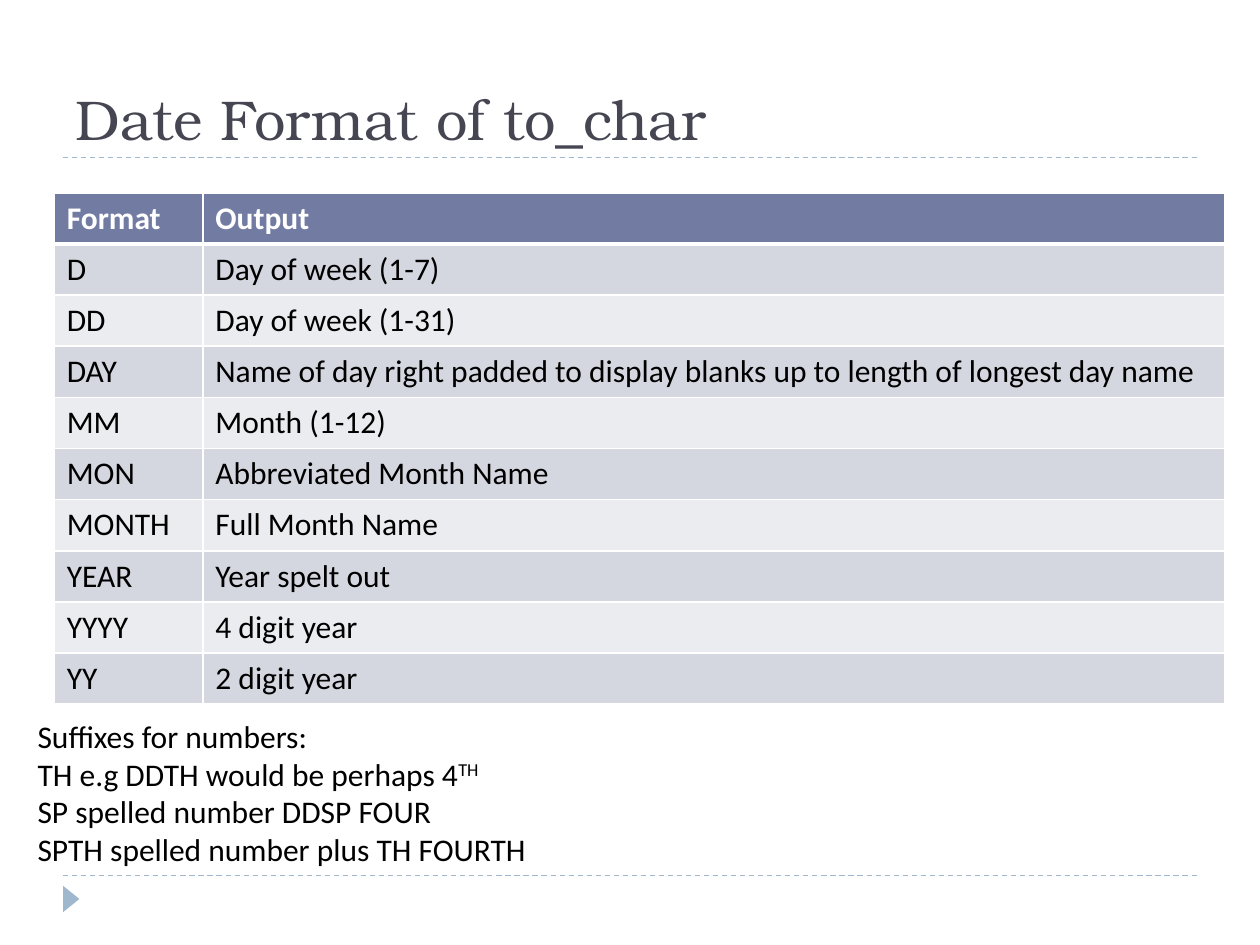
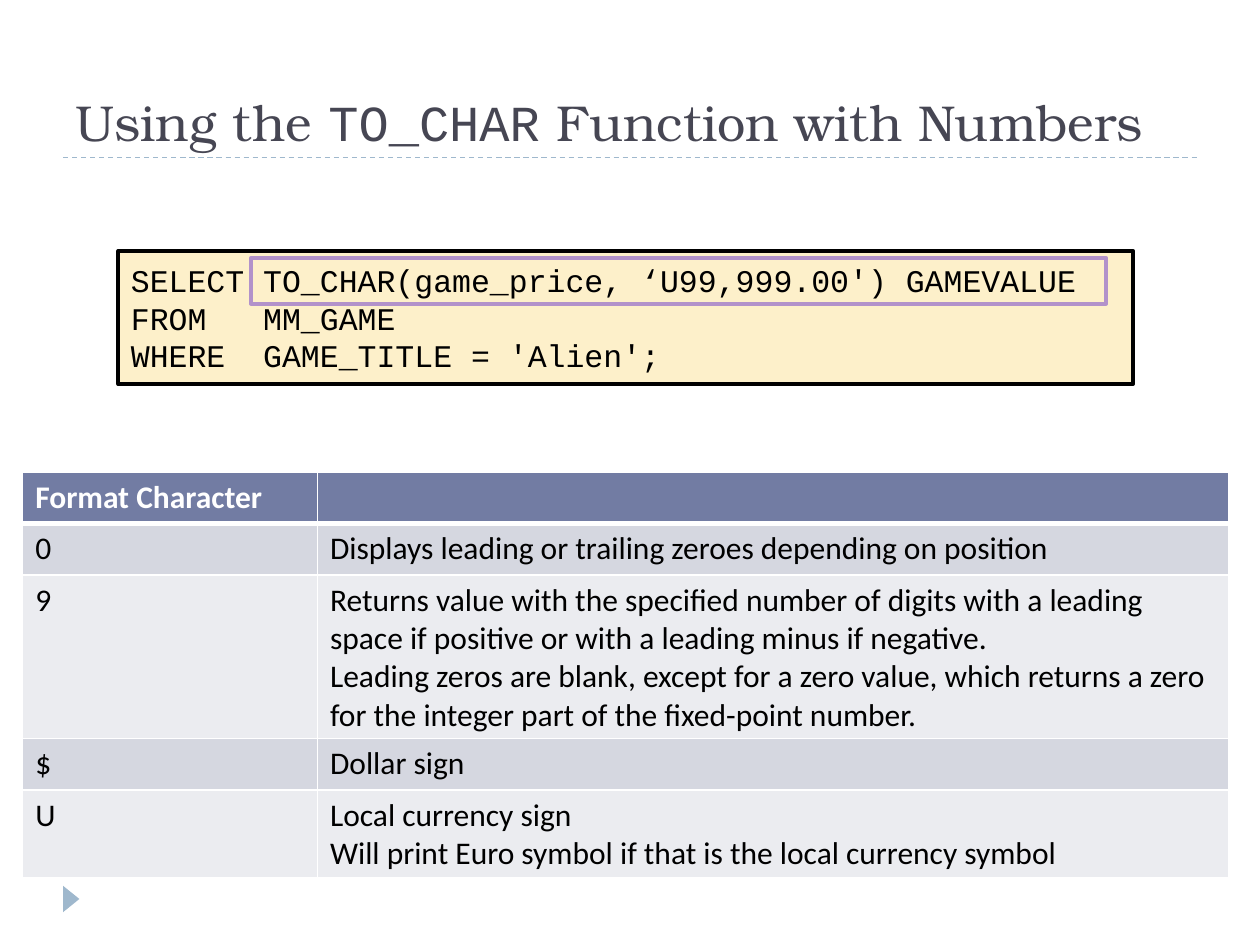
from pptx import Presentation
from pptx.dml.color import RGBColor
from pptx.enum.dml import MSO_LINE
from pptx.enum.shapes import MSO_CONNECTOR, MSO_SHAPE
from pptx.enum.text import MSO_ANCHOR, PP_ALIGN
from pptx.oxml.ns import qn
from pptx.util import Inches, Pt
from lxml import etree

STRAIGHT = MSO_CONNECTOR.STRAIGHT
DASH = MSO_LINE.DASH
RECTANGLE, TRIANGLE = MSO_SHAPE.RECTANGLE, MSO_SHAPE.ISOSCELES_TRIANGLE
MIDDLE, BOTTOM = MSO_ANCHOR.MIDDLE, MSO_ANCHOR.BOTTOM
LEFT = PP_ALIGN.LEFT

BLACK = RGBColor(0x00, 0x00, 0x00)
WHITE = RGBColor(0xFF, 0xFF, 0xFF)
TITLE_INK = RGBColor(0x46, 0x46, 0x53)
PALE_BLUE = RGBColor(0x9F, 0xB8, 0xCD)
HEADER_FILL = RGBColor(0x72, 0x7C, 0xA3)
BAND_FILLS = (RGBColor(0xEB, 0xEC, 0xF0), RGBColor(0xD5, 0xD7, 0xE0))
CODE_FILL = RGBColor(0xFD, 0xF0, 0xCA)
HIGHLIGHT = RGBColor(0xB2, 0x92, 0xCA)

BODY_FONT, TITLE_FONT, CODE_FONT = "Calibri", "TeX Gyre Bonum", "Courier New"
BODY_SIZE = 18

DATE_FORMATS = [
    ("Format", "Output"),
    ("D", "Day of week (1-7)"),
    ("DD", "Day of week (1-31)"),
    ("DAY", "Name of day right padded to display blanks up to length of longest day name"),
    ("MM", "Month (1-12)"),
    ("MON", "Abbreviated Month Name"),
    ("MONTH", "Full Month Name"),
    ("YEAR", "Year spelt out"),
    ("YYYY", "4 digit year"),
    ("YY", "2 digit year"),
]
SUFFIXES = [
    ["Suffixes for numbers:"],
    ["TH e.g DDTH would be perhaps 4", "TH"],
    ["SP spelled number DDSP FOUR"],
    ["SPTH spelled number plus TH FOURTH"],
]
NUMBER_FORMATS = [
    ("Format Character", ""),
    ("0", "Displays leading or trailing zeroes depending on position"),
    ("9", "Returns value with the specified number of digits with a leading space "
          "if positive or with a leading minus if negative.\n"
          "Leading zeros are blank, except for a zero value, which returns a zero "
          "for the integer part of the fixed-point number."),
    ("$", "Dollar sign"),
    ("U", "Local currency sign\n"
          "Will print Euro symbol if that is the local currency symbol"),
]
QUERY = """SELECT TO_CHAR(game_price, ‘U99,999.00') GAMEVALUE
FROM   MM_GAME
WHERE  GAME_TITLE = 'Alien';"""


def style_text(frame, font_name, size, color, bold=False):
    for paragraph in frame.paragraphs:
        paragraph.alignment = LEFT
        font = paragraph.font
        font.name, font.size, font.bold = font_name, Pt(size), bold
        font.color.rgb = color


def add_rule(slide, y):
    rule = slide.shapes.add_connector(STRAIGHT, Inches(0.5), Inches(y), Inches(9.5), Inches(y))
    rule.line.color.rgb = PALE_BLUE
    rule.line.width = Pt(0.75)
    rule.line.dash_style = DASH
    etree.SubElement(rule._element.spPr, qn("a:effectLst"))


def add_box(slide, preset, left, top, width, height, fill=None, outline=None):
    box = slide.shapes.add_shape(preset, Inches(left), Inches(top), Inches(width), Inches(height))
    box.shadow.inherit = False
    if fill is None:
        box.fill.background()
    else:
        box.fill.solid()
        box.fill.fore_color.rgb = fill
    if outline is None:
        box.line.fill.background()
    else:
        box.line.color.rgb = outline
        box.line.width = Pt(2.25)
    return box


def add_text(slide, left, top, width, height):
    frame = slide.shapes.add_textbox(
        Inches(left), Inches(top), Inches(width), Inches(height)).text_frame
    frame.word_wrap = True
    return frame


def add_slide(deck, title_parts, title_size):
    """Add a slide with rules, corner marker and title; title parts are (text, font)."""
    slide = deck.slides.add_slide(deck.slide_layouts[6])
    for y in (6.95, 1.25):
        add_rule(slide, y)
    marker = add_box(slide, TRIANGLE, 0.46, 7.07, 0.21, 0.13, PALE_BLUE)
    marker.rotation = 90
    title = add_text(slide, 0.5, 0.25, 9, 1)
    title.vertical_anchor = BOTTOM
    for text, font_name in title_parts:
        run = title.paragraphs[0].add_run()
        run.text = text
        if font_name != TITLE_FONT:
            run.font.name = font_name
    style_text(title, TITLE_FONT, title_size, TITLE_INK)
    return slide


def set_borders(cell, bottom_width):
    properties = cell._tc.get_or_add_tcPr()
    for side, width in (("L", 1), ("R", 1), ("T", 1), ("B", bottom_width)):
        line = etree.SubElement(properties, qn(f"a:ln{side}"), w=str(Pt(width)))
        fill = etree.SubElement(line, qn("a:solidFill"))
        etree.SubElement(fill, qn("a:srgbClr"), val=str(WHITE))


def add_format_table(slide, rows, left, top, column_widths, height):
    table = slide.shapes.add_table(
        len(rows), len(column_widths), Inches(left), Inches(top),
        Inches(sum(column_widths)), Inches(height)).table
    for column, width in zip(table.columns, column_widths):
        column.width = Inches(width)
    for row_index, row in enumerate(rows):
        is_header = row_index == 0
        for column_index, text in enumerate(row):
            cell = table.cell(row_index, column_index)
            cell.text = text
            style_text(cell.text_frame, BODY_FONT, BODY_SIZE,
                       WHITE if is_header else BLACK, bold=is_header)
            set_borders(cell, 3 if is_header else 1)
            cell.fill.solid()
            cell.fill.fore_color.rgb = HEADER_FILL if is_header else BAND_FILLS[row_index % 2]


def add_suffix_notes(slide):
    """List the number suffixes; the second part of a line is superscript."""
    notes = add_text(slide, 0.2, 5.64, 9.53, 1.31)
    for index, (text, *superscript) in enumerate(SUFFIXES):
        paragraph = notes.paragraphs[0] if index == 0 else notes.add_paragraph()
        paragraph.add_run().text = text
        for raised in superscript:
            run = paragraph.add_run()
            run.text = raised
            run.font._element.set("baseline", "30000")
    style_text(notes, BODY_FONT, BODY_SIZE, BLACK)


def add_query(slide):
    query_box = add_box(slide, RECTANGLE, 0.94, 1.99, 8.05, 1.06, CODE_FILL, BLACK)
    query = query_box.text_frame
    query.word_wrap = True
    query.vertical_anchor = MIDDLE
    query.text = QUERY
    style_text(query, CODE_FONT, BODY_SIZE, BLACK)
    add_box(slide, RECTANGLE, 1.99, 2.05, 6.79, 0.36, outline=HIGHLIGHT)


def main():
    deck = Presentation()
    deck.slide_width, deck.slide_height = Inches(10), Inches(7.5)

    dates = add_slide(deck, [("Date Format of to_char", TITLE_FONT)], 32)
    add_format_table(dates, DATE_FORMATS, 0.43, 1.53, (1.18, 8.11), 4.06)
    add_suffix_notes(dates)

    numbers = add_slide(deck, [("Using the ", TITLE_FONT), ("TO_CHAR", CODE_FONT),
                               (" Function with Numbers", TITLE_FONT)], 28.8)
    add_query(numbers)
    add_format_table(numbers, NUMBER_FORMATS, 0.18, 3.75, (2.34, 7.23), 2.03)

    deck.save("out.pptx")


if __name__ == "__main__":
    main()
